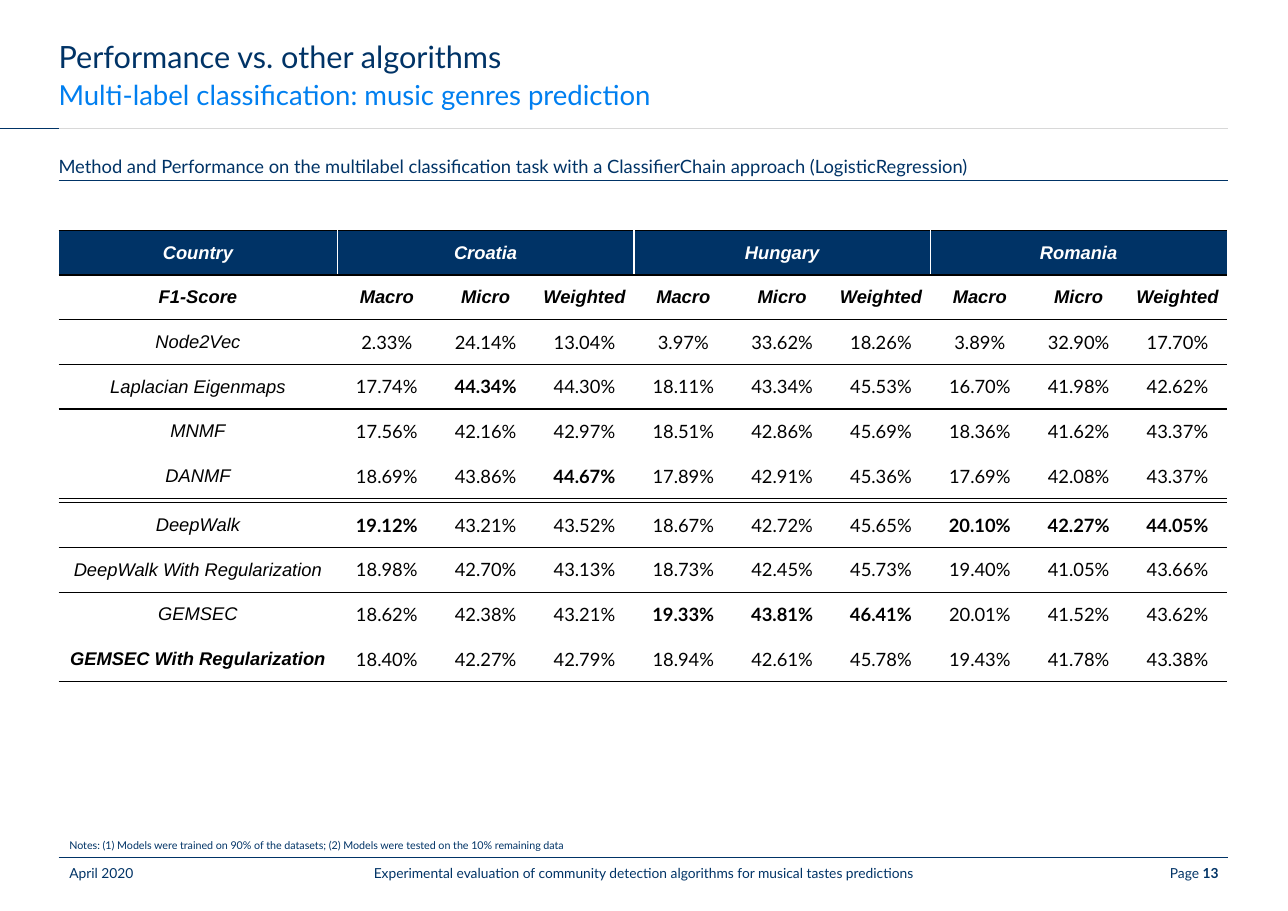
"""Build the slide that compares music genre scores by method."""
from dataclasses import dataclass

from lxml.etree import SubElement
from pptx import Presentation
from pptx.dml.color import RGBColor
from pptx.enum.shapes import MSO_CONNECTOR
from pptx.enum.text import MSO_ANCHOR, PP_ALIGN
from pptx.oxml.ns import qn
from pptx.slide import Slide
from pptx.table import Table, _Cell
from pptx.text.text import _Paragraph
from pptx.util import Cm, Pt

NAVY = RGBColor(0x00, 0x33, 0x66)
BLUE = RGBColor(0x00, 0x7F, 0xF0)
GREY = RGBColor(0xD8, 0xD8, 0xD8)
BLACK = RGBColor(0x00, 0x00, 0x00)
WHITE = RGBColor(0xFF, 0xFF, 0xFF)

LEFT, RIGHT = 1.35, 28.32
WIDE = RIGHT - LEFT
NO_GRID = "{2D5ABB26-0587-4C30-8999-92F81FD0307C}"


@dataclass(frozen=True)
class Style:
    size: float
    color: RGBColor = NAVY
    font: str = "Lato"
    bold: bool = False
    slant: bool = False


@dataclass(frozen=True)
class Label:
    left: float
    top: float
    width: float
    height: float
    runs: tuple[tuple[str, Style], ...]
    align: PP_ALIGN = PP_ALIGN.LEFT
    anchor: MSO_ANCHOR = MSO_ANCHOR.MIDDLE
    inset: float = 0.25


@dataclass(frozen=True)
class Rule:
    start: float
    end: float
    top: float
    color: RGBColor = NAVY
    weight: float = 0.75


@dataclass(frozen=True)
class Method:
    name: str
    scores: tuple[float, ...]
    bold: bool = False


SMALL = Style(9)
LABELS = (
    Label(LEFT, 0.94, WIDE, 0.71,
          (("Performance vs. other algorithms", Style(20)),), inset=0),
    Label(LEFT, 1.83, WIDE, 0.71,
          (("Multi-label classification: music genres prediction", Style(18, BLUE)),),
          inset=0),
    Label(LEFT, 3.5, WIDE, 0.66,
          (("Method and Performance on the multilabel classification task with a "
            "ClassifierChain approach (LogisticRegression)", Style(12)),), inset=0),
    Label(LEFT, 18.95, WIDE, 0.79,
          (("Notes: (1) Models were trained on 90% of the datasets; "
            "(2) Models were tested on the 10% remaining data", Style(7)),),
          anchor=MSO_ANCHOR.BOTTOM),
    Label(LEFT, 19.8, 4.32, 0.66, (("April 2020", SMALL),)),
    Label(7.85, 19.8, 13.97, 0.66,
          (("Experimental evaluation of community detection algorithms "
            "for musical tastes predictions", SMALL),), PP_ALIGN.CENTER),
    Label(24.03, 19.8, 4.32, 0.66,
          (("Page ", SMALL), ("13", Style(9, bold=True))), PP_ALIGN.RIGHT),
)
RULES = (
    Rule(LEFT, RIGHT, 2.97, GREY),
    Rule(0, LEFT, 2.97),
    Rule(LEFT, RIGHT, 4.17),
    Rule(LEFT, RIGHT, 19.76, weight=0.25),
)

LANDS = ("Croatia", "Hungary", "Romania")
KINDS = ("Macro", "Micro", "Weighted")
UPPER = (
    Method("Node2Vec", (2.33, 24.14, 13.04, 3.97, 33.62, 18.26, 3.89, 32.90, 17.70)),
    Method("Laplacian Eigenmaps",
           (17.74, 44.34, 44.30, 18.11, 43.34, 45.53, 16.70, 41.98, 42.62)),
    Method("MNMF", (17.56, 42.16, 42.97, 18.51, 42.86, 45.69, 18.36, 41.62, 43.37)),
    Method("DANMF", (18.69, 43.86, 44.67, 17.89, 42.91, 45.36, 17.69, 42.08, 43.37)),
)
LOWER = (
    Method("DeepWalk", (19.12, 43.21, 43.52, 18.67, 42.72, 45.65, 20.10, 42.27, 44.05)),
    Method("DeepWalk With Regularization",
           (18.98, 42.70, 43.13, 18.73, 42.45, 45.73, 19.40, 41.05, 43.66)),
    Method("GEMSEC", (18.62, 42.38, 43.21, 19.33, 43.81, 46.41, 20.01, 41.52, 43.62)),
    Method("GEMSEC With Regularization",
           (18.40, 42.27, 42.79, 18.94, 42.61, 45.78, 19.43, 41.78, 43.38), True),
)
GAP = 2 + len(UPPER)
ROWS = GAP + 1 + len(LOWER)
COLS = 1 + len(LANDS) * len(KINDS)
LINED = (0, 1, 2, GAP - 1, GAP, GAP + 1, ROWS - 1)
BEST = [max(col) for col in zip(*(m.scores for m in UPPER + LOWER))]


def add_run(para: _Paragraph, text: str, style: Style) -> None:
    run = para.add_run()
    run.text = text
    font = run.font
    font.name, font.size = style.font, Pt(style.size)
    font.bold, font.italic = style.bold, style.slant
    font.color.rgb = style.color


def add_label(slide: Slide, label: Label) -> None:
    box = slide.shapes.add_textbox(
        Cm(label.left), Cm(label.top), Cm(label.width), Cm(label.height))
    frame = box.text_frame
    frame.word_wrap = True
    frame.vertical_anchor = label.anchor
    frame.margin_left = frame.margin_right = Cm(label.inset)
    frame.margin_top = frame.margin_bottom = Cm(0.1)
    para = frame.paragraphs[0]
    para.alignment = label.align
    for text, style in label.runs:
        add_run(para, text, style)


def add_rule(slide: Slide, rule: Rule) -> None:
    line = slide.shapes.add_connector(
        MSO_CONNECTOR.STRAIGHT, Cm(rule.start), Cm(rule.top), Cm(rule.end), Cm(rule.top))
    line.line.color.rgb = rule.color
    line.line.width = Pt(rule.weight)
    SubElement(line._element.spPr, qn("a:effectLst"))


def add_edge(cell: _Cell, side: str, color: RGBColor) -> None:
    edge = SubElement(cell._tc.get_or_add_tcPr(), qn(f"a:ln{side}"), w=str(Pt(1)))
    fill = SubElement(edge, qn("a:solidFill"))
    SubElement(fill, qn("a:srgbClr"), val=str(color))


def dress(cell: _Cell, row: int, col: int) -> None:
    if row == 0 and col in (1, 4, 7):
        add_edge(cell, "L", WHITE)
    if row == 0 and col in (0, 3, 6):
        add_edge(cell, "R", WHITE)
    if row == 0 or row - 1 in LINED:
        add_edge(cell, "T", BLACK)
    if row in LINED:
        add_edge(cell, "B", BLACK)
    cell.fill.solid()
    cell.fill.fore_color.rgb = NAVY if row == 0 else WHITE
    cell.margin_left = cell.margin_right = cell.margin_top = cell.margin_bottom = 0
    cell.vertical_anchor = MSO_ANCHOR.MIDDLE
    if row == GAP:
        SubElement(cell.text_frame.paragraphs[0]._p, qn("a:endParaRPr"), sz="100")


def write(cell: _Cell, text: str, style: Style) -> None:
    para = cell.text_frame.paragraphs[0]
    para.alignment = PP_ALIGN.CENTER
    add_run(para, text, style)


def fill_heads(table: Table) -> None:
    top = Style(12, WHITE, "Arial", True, True)
    sub = Style(12, BLACK, "Arial", True, True)
    write(table.cell(0, 0), "Country", top)
    write(table.cell(1, 0), "F1-Score", sub)
    for i, land in enumerate(LANDS):
        first = 1 + i * len(KINDS)
        table.cell(0, first).merge(table.cell(0, first + len(KINDS) - 1))
        write(table.cell(0, first), land, top)
        for j, kind in enumerate(KINDS):
            write(table.cell(1, first + j), kind, sub)


def fill_scores(table: Table, start: int, group: tuple[Method, ...]) -> None:
    for row, method in enumerate(group, start):
        write(table.cell(row, 0), method.name, Style(12, BLACK, "Arial", method.bold, True))
        for col, (score, best) in enumerate(zip(method.scores, BEST), 1):
            write(table.cell(row, col), f"{score:.2f}%", Style(12, BLACK, bold=score == best))


def add_scores(slide: Slide) -> None:
    frame = slide.shapes.add_table(ROWS, COLS, Cm(LEFT), Cm(5.31), Cm(WIDE), Cm(10.4))
    table = frame.table
    table.first_row = table.horz_banding = False
    table._tbl.tblPr.find(qn("a:tableStyleId")).text = NO_GRID
    for i, col in enumerate(table.columns):
        col.width = Cm(2.28 if i else 6.43)
    for i, row in enumerate(table.rows):
        row.height = Cm(0.1 if i == GAP else 1.03)
        for j, cell in enumerate(row.cells):
            dress(cell, i, j)
    fill_heads(table)
    fill_scores(table, 2, UPPER)
    fill_scores(table, GAP + 1, LOWER)


def main() -> None:
    deck = Presentation()
    deck.slide_width, deck.slide_height = Cm(29.7), Cm(21)
    slide = deck.slides.add_slide(deck.slide_layouts[6])
    for rule in RULES:
        add_rule(slide, rule)
    add_scores(slide)
    for label in LABELS:
        add_label(slide, label)
    deck.save("out.pptx")


if __name__ == "__main__":
    main()
